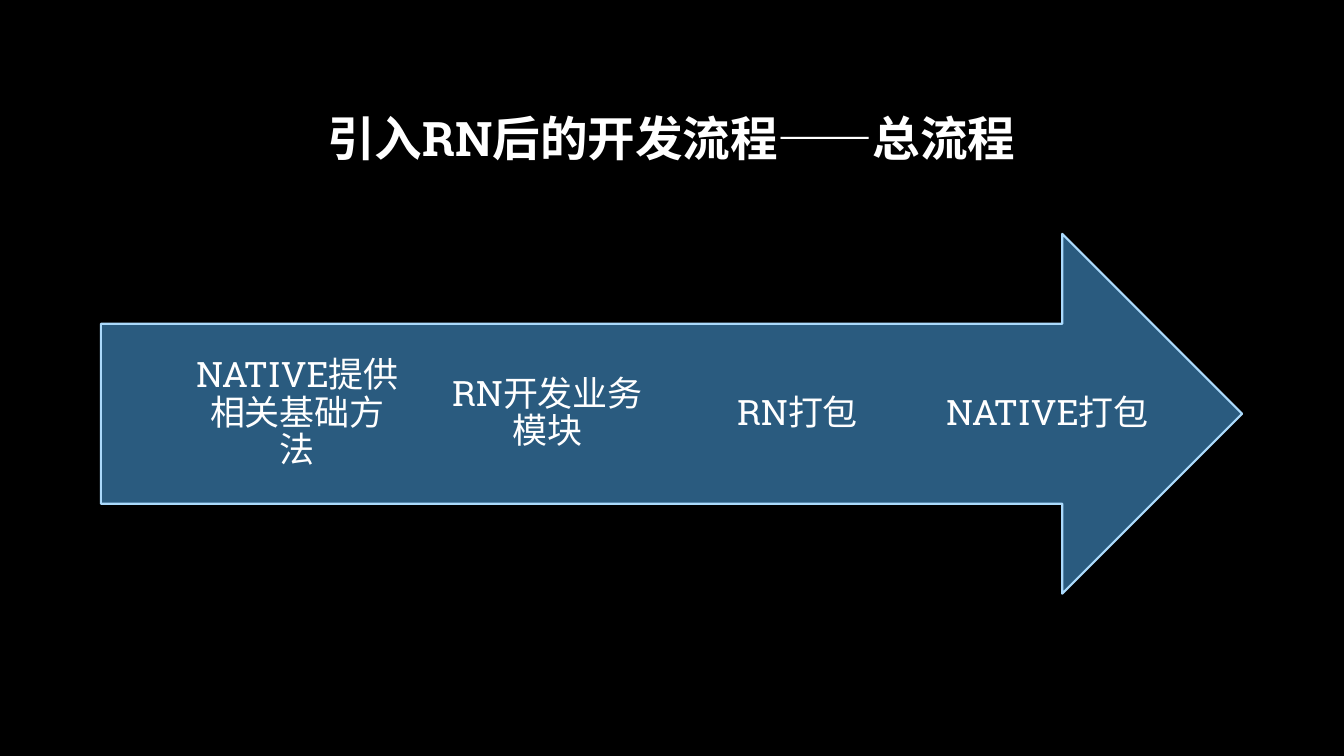
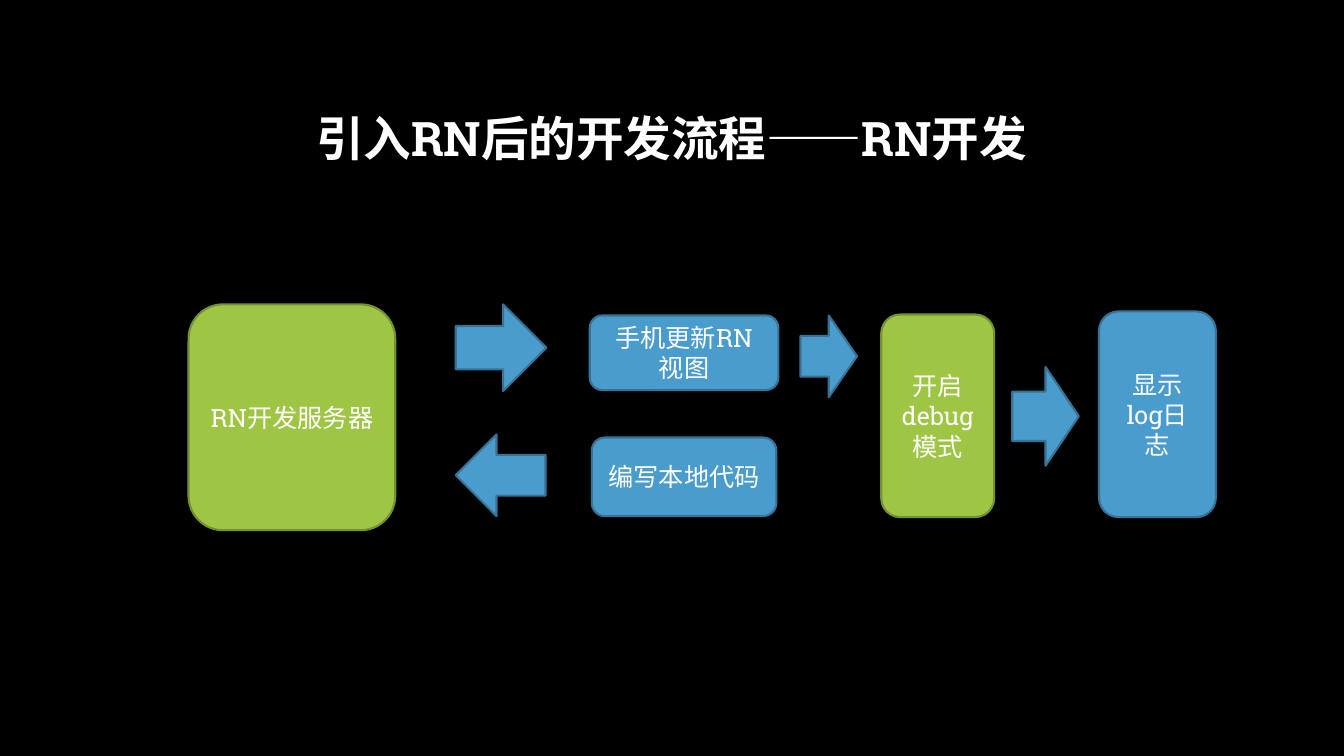
from pptx import Presentation
from pptx.dml.color import RGBColor
from pptx.enum.shapes import MSO_SHAPE as Preset
from pptx.enum.text import MSO_ANCHOR as Anchor, PP_ALIGN as Align
from pptx.util import Inches, Pt

BLACK = RGBColor(0x00, 0x00, 0x00)
WHITE = RGBColor(0xFF, 0xFF, 0xFF)
NAVY = RGBColor(0x2A, 0x5B, 0x7F)
PALE_BLUE = RGBColor(0xAB, 0xDA, 0xFC)
BLUE = RGBColor(0x4A, 0x9C, 0xCC)
DARK_BLUE = RGBColor(0x37, 0x73, 0x97)
GREEN = RGBColor(0x9E, 0xC5, 0x44)
DARK_GREEN = RGBColor(0x75, 0x92, 0x32)
NAVY_STYLE = (NAVY, PALE_BLUE)
BLUE_STYLE = (BLUE, DARK_BLUE)
GREEN_STYLE = (GREEN, DARK_GREEN)

FONT = "Roboto Slab"
TITLE_BOX = (1, 0.67, 11.32, 1.45)
PROCESS_BOX = (1, 2.32, 11.32, 3.57)
LOOP_BOX = (1.87, 3.02, 10.19, 2.24)

PROCESS_STEPS = ["NATIVE提供相关基础方法", "RN开发业务模块", "RN打包", "NATIVE打包"]
LOOP_CARDS = [
    ("RN开发服务器", (0, 0, 2.05, 2.24), GREEN_STYLE),
    ("手机更新RN视图", (3.98, 0.11, 1.87, 0.74), BLUE_STYLE),
    ("编写本地代码", (4, 1.32, 1.83, 0.78), BLUE_STYLE),
    ("开启debug模式", (6.87, 0.1, 1.12, 2.01), GREEN_STYLE),
    ("显示log日志", (9.03, 0.07, 1.16, 2.04), BLUE_STYLE),
]
LOOP_ARROWS = [
    (Preset.RIGHT_ARROW, (2.65, 0, 0.9, 0.86)),
    (Preset.LEFT_ARROW, (2.65, 1.29, 0.89, 0.81)),
    (Preset.RIGHT_ARROW, (6.07, 0.11, 0.56, 0.81)),
    (Preset.RIGHT_ARROW, (8.17, 0.62, 0.66, 0.98)),
]


def to_lengths(box):
    return [Inches(value) for value in box]


def write_text(shape, text, size, bold=False, spacing=1.0):
    frame = shape.text_frame
    frame.text = text
    frame.word_wrap = True
    frame.vertical_anchor = Anchor.MIDDLE
    paragraph = frame.paragraphs[0]
    paragraph.alignment = Align.CENTER
    paragraph.line_spacing = spacing
    font = paragraph.runs[0].font
    font.name = FONT
    font.size = Pt(size)
    font.bold = bold
    font.color.rgb = WHITE


def add_preset(slide, preset, box, style):
    fill, line = style
    shape = slide.shapes.add_shape(preset, *to_lengths(box))
    shape.shadow.inherit = False
    shape.fill.solid()
    shape.fill.fore_color.rgb = fill
    shape.line.color.rgb = line
    shape.line.width = Pt(1.5)
    return shape


def add_titled_slide(presentation, text):
    slide = presentation.slides.add_slide(presentation.slide_layouts[5])
    title = slide.shapes.title
    title.left, title.top, title.width, title.height = to_lengths(TITLE_BOX)
    write_text(title, text, 34, bold=True, spacing=0.9)
    return slide


def add_process_arrow(slide, box, steps):
    left, top, width, height = box
    add_preset(slide, Preset.RIGHT_ARROW, box, NAVY_STYLE)
    inset, step_width, pitch = 0.92, 2.06, 2.48
    for index, step in enumerate(steps):
        step_box = (left + inset + index * pitch, top + height / 4, step_width, height / 2)
        label = slide.shapes.add_textbox(*to_lengths(step_box))
        write_text(label, step, 25, spacing=0.9)
        frame = label.text_frame
        frame.margin_left = frame.margin_right = 0
        frame.margin_top = frame.margin_bottom = Inches(0.28)


def add_development_loop(slide, box, cards, arrows):
    def place(part):
        left, top, width, height = part
        return box[0] + left, box[1] + top, width, height

    for text, part, style in cards:
        card = add_preset(slide, Preset.ROUNDED_RECTANGLE, place(part), style)
        write_text(card, text, 18)
    for preset, part in arrows:
        add_preset(slide, preset, place(part), BLUE_STYLE)


def main():
    presentation = Presentation()
    presentation.slide_width = Inches(13.33)
    presentation.slide_height = Inches(7.5)
    background = presentation.slide_master.background.fill
    background.solid()
    background.fore_color.rgb = BLACK

    overview = add_titled_slide(presentation, "引入RN后的开发流程——总流程")
    add_process_arrow(overview, PROCESS_BOX, PROCESS_STEPS)

    development = add_titled_slide(presentation, "引入RN后的开发流程——RN开发")
    add_development_loop(development, LOOP_BOX, LOOP_CARDS, LOOP_ARROWS)

    presentation.save("out.pptx")


if __name__ == "__main__":
    main()
